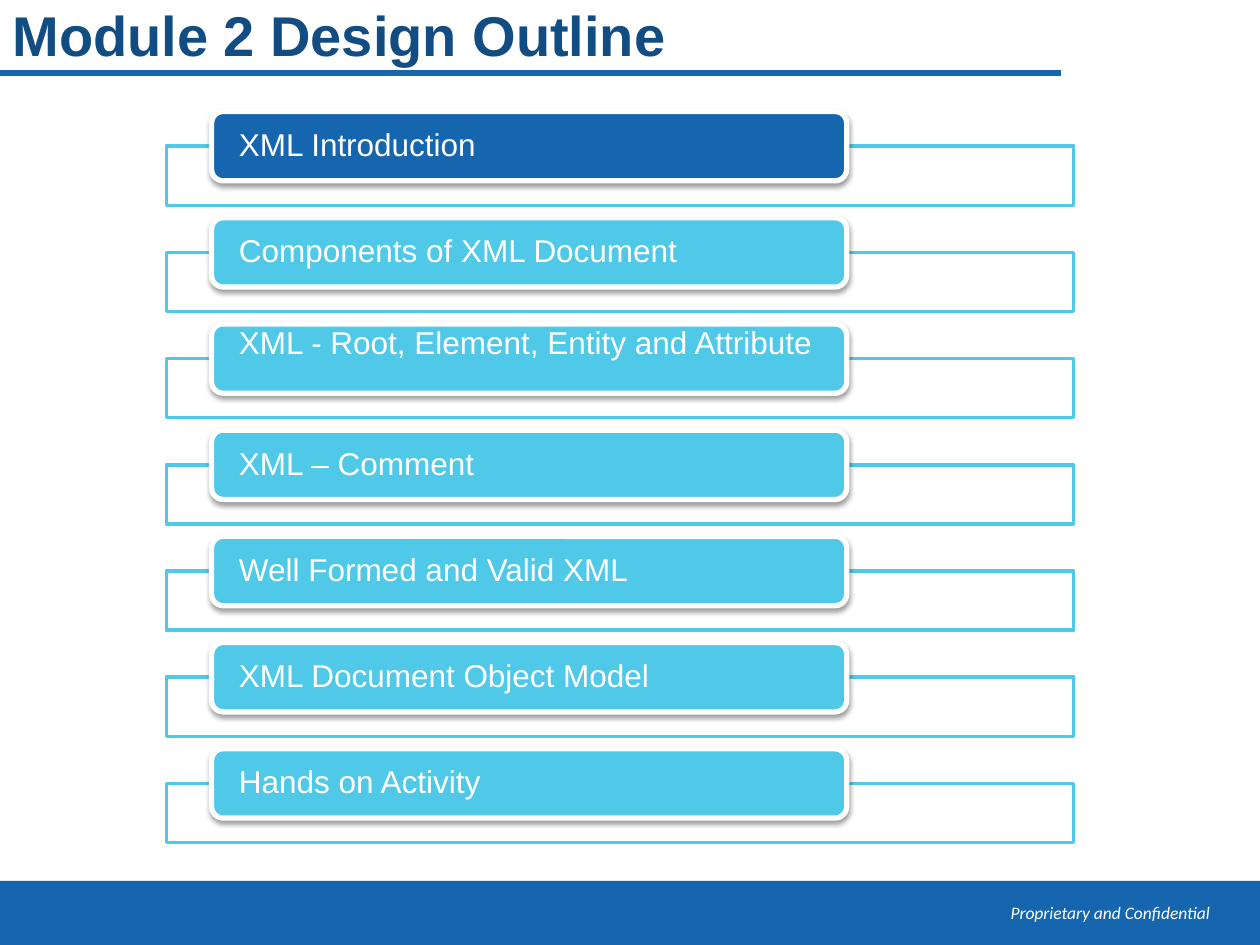
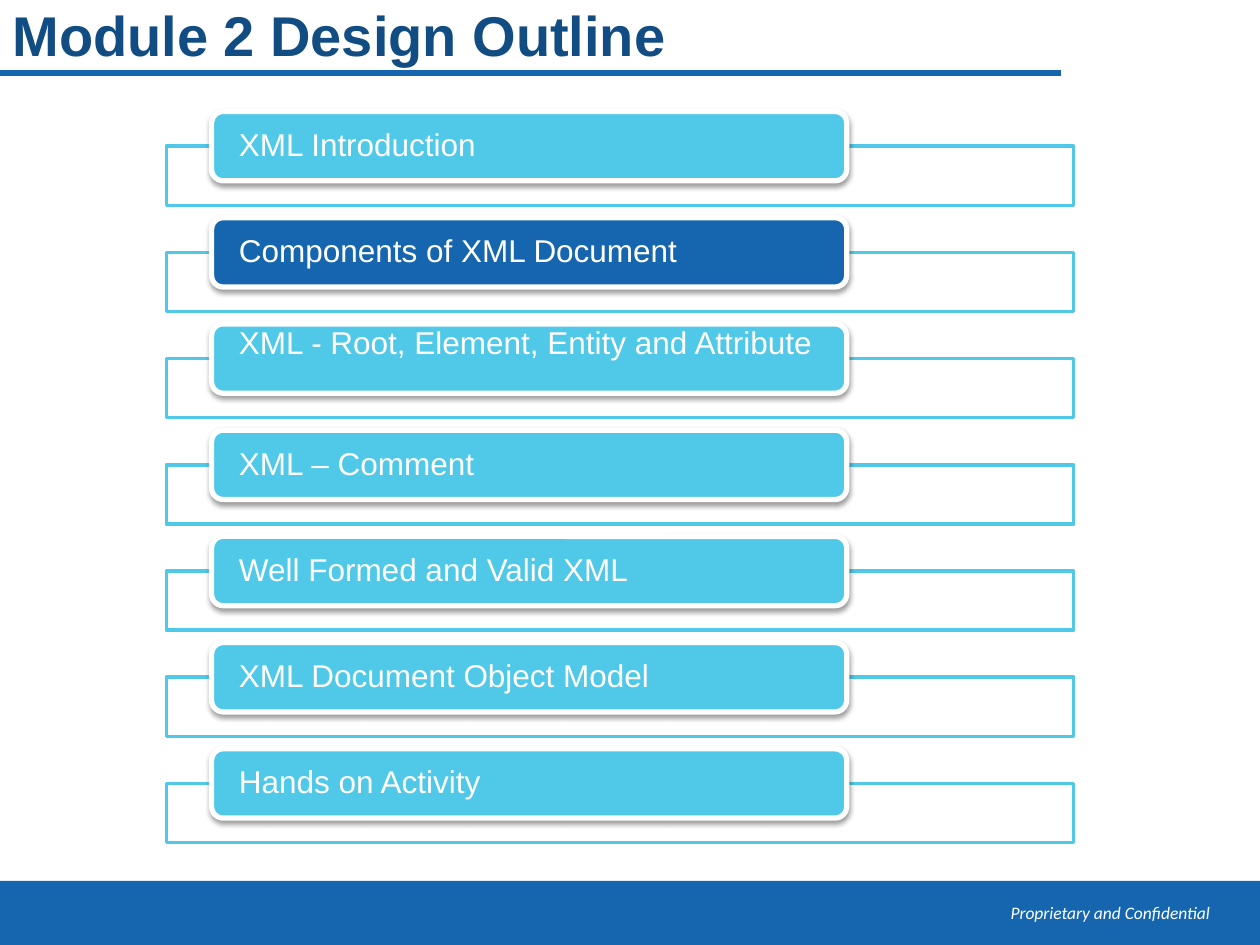
from lxml import etree
from pptx import Presentation
from pptx import util as u
from pptx.dml.color import RGBColor
from pptx.enum import shapes, text
from pptx.oxml.ns import qn

COLORS = {"band": "1666AF", "title": "114C83", "topic": "50C8E8",
          "white": "FFFFFF", "black": "000000"}
COLOR = {name: RGBColor.from_string(value) for name, value in COLORS.items()}

TOPICS = ["XML Introduction", "Components of XML Document",
          "XML - Root, Element, Entity and Attribute", "XML – Comment",
          "Well Formed and Valid XML", "XML Document Object Model",
          "Hands on Activity"]
TIGHT_TOPIC = 2  # the longest topic sits at the top of its box
PITCH = 8.43     # grid rows from one topic to the next

TITLE_FONT = {"name": "Arial", "size": u.Pt(32), "bold": True}
TOPIC_FONT = {"name": "Arial", "size": u.Pt(18)}
FOOTER_FONT = {"name": "Calibri", "size": u.Pt(10), "italic": True}

presentation = Presentation()
presentation.slide_width = u.Inches(10)
presentation.slide_height = u.Inches(7.5)
COLUMN = presentation.slide_width / 100
ROW = presentation.slide_height / 75


def add_box(slide, kind, area, fill, line=None, weight=0):
    """Add a shape placed by grid columns and rows."""
    left, top, width, height = area
    shape = slide.shapes.add_shape(kind, int(left * COLUMN), int(top * ROW),
                                   int(width * COLUMN), int(height * ROW))
    shape.shadow.inherit = False
    shape.fill.solid()
    shape.fill.fore_color.rgb = COLOR[fill]
    if line:
        shape.line.color.rgb = COLOR[line]
        shape.line.width = u.Pt(weight)
    else:
        shape.line.fill.background()
    return shape


def write(shape, words, font, color, paragraph_format, frame_format):
    """Write one formatted paragraph in a shape."""
    frame = shape.text_frame
    paragraph = frame.paragraphs[0]
    run = paragraph.add_run()
    run.text = words
    run.font.color.rgb = COLOR[color]
    for target, values in ((frame, {"word_wrap": True, **frame_format}),
                           (paragraph, paragraph_format), (run.font, font)):
        for name, value in values.items():
            setattr(target, name, value)


for current in range(2):
    slide = presentation.slides.add_slide(presentation.slide_layouts[6])

    # Footer band
    add_box(slide, shapes.MSO_SHAPE.RECTANGLE, (0, 69.9, 100, 5.1), "band")
    footer = slide.shapes.add_textbox(int(73.5 * COLUMN), int(71.1 * ROW),
                                      int(23.5 * COLUMN), int(3.2 * ROW))
    write(footer, "Proprietary and Confidential", FOOTER_FONT, "white",
          {"alignment": text.PP_ALIGN.RIGHT}, {})

    # Title and its rule
    rule = slide.shapes.add_connector(shapes.MSO_CONNECTOR.STRAIGHT, 0, int(5.8 * ROW),
                                      int(84.2 * COLUMN), int(5.8 * ROW))
    rule.line.color.rgb = COLOR["band"]
    rule.line.width = u.Pt(3)
    etree.SubElement(rule._element.spPr, qn("a:effectLst"))
    title = slide.shapes.add_textbox(0, int(0.7 * ROW), int(75 * COLUMN), int(4.7 * ROW))
    write(title, "Module 2 Design Outline", TITLE_FONT, "title", {"line_spacing": 0.88},
          {"vertical_anchor": text.MSO_ANCHOR.MIDDLE})

    # Topics, the current one highlighted
    for index, topic in enumerate(TOPICS):
        offset = index * PITCH
        frame = add_box(slide, shapes.MSO_SHAPE.RECTANGLE,
                        (13.2, 11.6 + offset, 72, 4.7), "white", "topic", 2)
        frame_color = frame._element.spPr.find(qn("a:solidFill"))[0]
        etree.SubElement(frame_color, qn("a:alpha"), val="90000")

        label = add_box(slide, shapes.MSO_SHAPE.ROUNDED_RECTANGLE,
                        (16.8, 8.85 + offset, 50.4, 5.5),
                        "band" if index == current else "topic", "white", 3)
        effects = label._element.spPr.find(qn("a:effectLst"))
        shadow = etree.SubElement(effects, qn("a:outerShdw"), blurRad=str(u.Pt(3.1)),
                                  dist=str(u.Pt(1.6)), dir="5400000", rotWithShape="0")
        shadow_color = etree.SubElement(shadow, qn("a:srgbClr"), val=COLORS["black"])
        etree.SubElement(shadow_color, qn("a:alpha"), val="38000")
        anchor = text.MSO_ANCHOR.TOP if index == TIGHT_TOPIC else text.MSO_ANCHOR.MIDDLE
        write(label, topic, TOPIC_FONT, "white",
              {"line_spacing": 0.9, "alignment": text.PP_ALIGN.LEFT},
              {"vertical_anchor": anchor, "margin_top": 0, "margin_bottom": 0,
               "margin_left": int(1.9 * COLUMN), "margin_right": int(1.9 * COLUMN)})

presentation.save("out.pptx")
